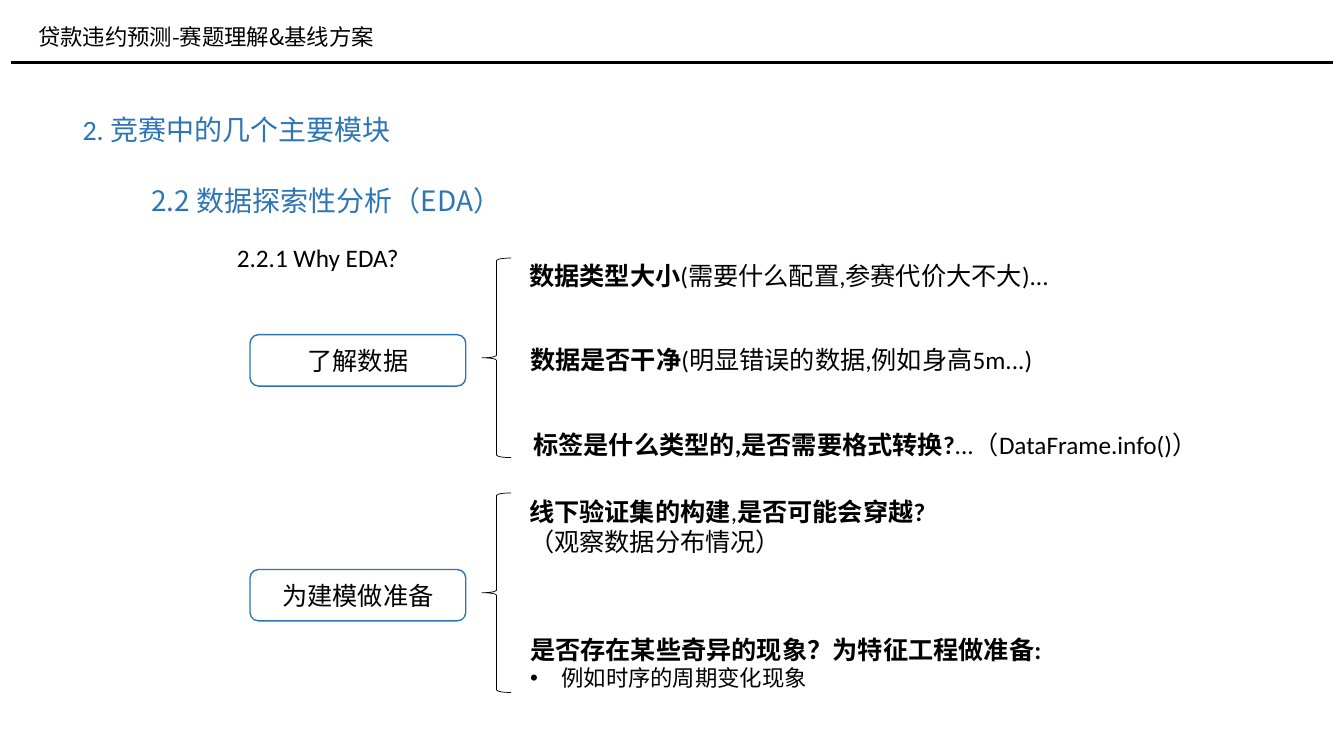
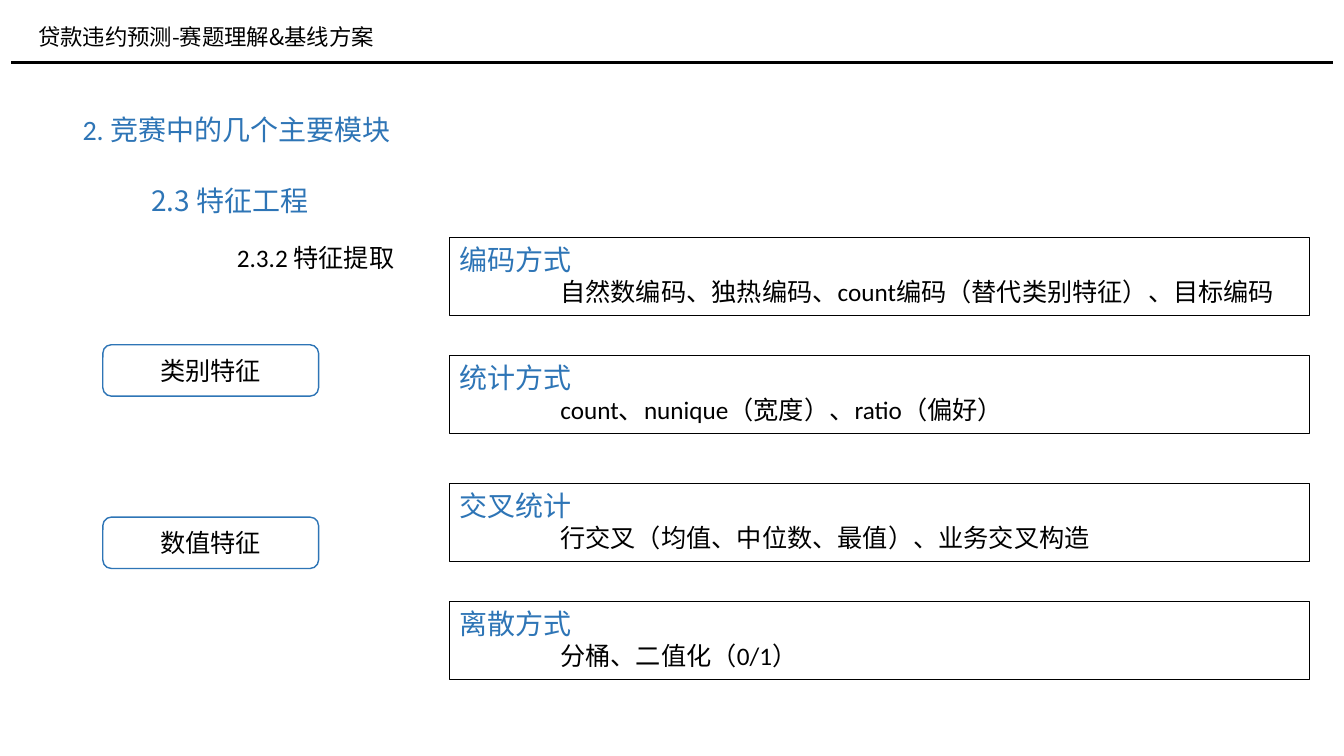
from dataclasses import dataclass

from lxml import etree
from pptx import Presentation
from pptx import util as u
from pptx.dml.color import RGBColor
from pptx.enum import shapes, text
from pptx.oxml import ns
from pptx.shapes.autoshape import Shape
from pptx.slide import Slide

COLORS = {"ink": "000000", "accent": "2E75B6"}
LATIN = "Calibri"
CJK = "Noto Sans CJK SC"
LABEL_SIZE = (2.14, 0.51)
BRACE_SIZE = (0.29, 1.98)
CARD_SIZE = (8.53, 0.77)


@dataclass(frozen=True)
class Span:
    text: str
    size: int = 18
    color: str = "ink"
    bold: bool = False
    font: str = LATIN


@dataclass(frozen=True)
class Para:
    spans: tuple[Span, ...]
    margin: float = 0
    indent: float = 0
    bullet: str = ""
    line_points: int = 0
    centered: bool = False


@dataclass(frozen=True)
class Note:
    left: float
    top: float
    width: float
    height: float
    paras: tuple[Para, ...]


@dataclass(frozen=True)
class Label:
    text: str
    left: float
    top: float


@dataclass(frozen=True)
class Card:
    title: str
    body: str
    top: float


def line(*spans: Span, **layout) -> Para:
    return Para(spans, **layout)


def rgb(name: str) -> RGBColor:
    return RGBColor.from_string(COLORS[name])


def add_span(para, words: str, *, size: int, color: str, bold: bool, font: str) -> None:
    run = para.add_run()
    run.text = words
    run.font.size = u.Pt(size)
    run.font.bold = bold
    run.font.name = font
    run.font.color.rgb = rgb(color)
    latin = run._r.get_or_add_rPr().find(ns.qn("a:latin"))
    east_asian = etree.Element(ns.qn("a:ea"), typeface=CJK)
    latin.addnext(east_asian)


def write(box: Shape, paras: tuple[Para, ...], *, middle: bool = False) -> None:
    frame = box.text_frame
    frame.word_wrap = True
    frame.vertical_anchor = text.MSO_ANCHOR.MIDDLE if middle else text.MSO_ANCHOR.TOP
    frame.auto_size = text.MSO_AUTO_SIZE.NONE if middle else text.MSO_AUTO_SIZE.SHAPE_TO_FIT_TEXT
    for index, item in enumerate(paras):
        para = frame.add_paragraph() if index else frame.paragraphs[0]
        para.alignment = text.PP_ALIGN.CENTER if item.centered else text.PP_ALIGN.LEFT
        if item.line_points:
            para.line_spacing = u.Pt(item.line_points)
        props = para._p.get_or_add_pPr()
        props.set("marL", str(u.Inches(item.margin)))
        props.set("indent", str(u.Inches(item.indent)))
        if item.bullet:
            etree.SubElement(props, ns.qn("a:buFont"), typeface="Arial")
            etree.SubElement(props, ns.qn("a:buChar"), char=item.bullet)
        for span in item.spans:
            add_span(para, span.text, size=span.size, color=span.color,
                     bold=span.bold, font=span.font)


def add_note(page: Slide, note: Note) -> None:
    box = page.shapes.add_textbox(u.Inches(note.left), u.Inches(note.top),
                                  u.Inches(note.width), u.Inches(note.height))
    write(box, note.paras)


def add_outline(page: Slide, kind: shapes.MSO_SHAPE, left: float, top: float,
                size: tuple[float, float], color: str, weight: float) -> Shape:
    box = page.shapes.add_shape(kind, u.Inches(left), u.Inches(top),
                                u.Inches(size[0]), u.Inches(size[1]))
    box.shadow.inherit = False
    box.fill.background()
    box.line.color.rgb = rgb(color)
    box.line.width = u.Pt(weight)
    return box


def add_label(page: Slide, label: Label) -> None:
    box = add_outline(page, shapes.MSO_SHAPE.ROUNDED_RECTANGLE, label.left, label.top,
                      LABEL_SIZE, "accent", 1)
    write(box, (line(Span(label.text), centered=True),), middle=True)


def add_card(page: Slide, card: Card) -> None:
    box = add_outline(page, shapes.MSO_SHAPE.RECTANGLE, 4.46, card.top, CARD_SIZE, "ink", 0.75)
    write(box, (line(Span(card.title, size=20, color="accent")),
                line(Span(card.body), margin=1)))


def add_page(deck, section: str, topic: str, topic_width: float) -> Slide:
    page = deck.slides.add_slide(deck.slide_layouts[6])
    rule = page.shapes.add_connector(shapes.MSO_CONNECTOR.STRAIGHT, u.Inches(0.11),
                                     u.Inches(0.62), u.Inches(13.22), u.Inches(0.62))
    rule.line.color.rgb = rgb("ink")
    rule.line.width = u.Pt(2.25)
    etree.SubElement(rule._element.spPr, ns.qn("a:effectLst"))
    headings = (
        Note(0.28, 0.18, 4.98, 0.37,
             (line(Span("贷款违约预测-赛题理解&基线方案", size=16, font=CJK)),)),
        Note(0.72, 1.07, 7.11, 0.44,
             (line(Span("2. 竞赛中的几个主要模块", size=20, color="accent")),)),
        Note(1.4, 1.62, 8.09, 0.59,
             (line(Span(section, size=20, color="accent", font=CJK), line_points=35),)),
        Note(2.25, 2.36, topic_width, 0.4, (line(Span(topic)),)),
    )
    for heading in headings:
        add_note(page, heading)
    return page


def build_exploration(deck) -> None:
    page = add_page(deck, "2.2 数据探索性分析（EDA）", "2.2.1 Why EDA?", 3.62)
    for label in (Label("了解数据", 2.48, 3.32), Label("为建模做准备", 2.48, 5.65)):
        add_label(page, label)
        add_outline(page, shapes.MSO_SHAPE.LEFT_BRACE, 4.78, label.top - 0.76,
                    BRACE_SIZE, "ink", 0.5)
    notes = (
        Note(5.15, 2.53, 7.08, 0.4, (
            line(Span("数据类型大小", bold=True), Span("(需要什么配置,参赛代价大不大)...")),)),
        Note(5.16, 3.37, 7.2, 0.4, (
            line(Span("数据是否干净", bold=True), Span("(明显错误的数据,例如身高5m...)")),)),
        Note(5.14, 4.21, 7.02, 0.4, (
            line(Span("标签是什么类型的,是否需要格式转换?", bold=True),
                 Span("...（DataFrame.info()）"), indent=0.05),)),
        Note(5.15, 4.87, 4.8, 0.71, (
            line(Span("线下验证集的构建", bold=True), Span(","),
                 Span("是否可能会穿越?", bold=True)),
            line(Span("（观察数据分布情况）")))),
        Note(5.16, 6.24, 6.64, 0.67, (
            line(Span("是否存在某些奇异的现象？为特征工程做准备:", bold=True)),
            line(Span("例如时序的周期变化现象", size=16),
                 margin=0.31, indent=-0.31, bullet="•"))),
    )
    for note in notes:
        add_note(page, note)


def build_features(deck) -> None:
    page = add_page(deck, "2.3 特征工程", "2.3.2 特征提取", 2.08)
    for label in (Label("类别特征", 1.02, 3.42), Label("数值特征", 1.02, 5.13)):
        add_label(page, label)
    cards = (
        Card("编码方式", "自然数编码、独热编码、count编码（替代类别特征）、目标编码", 2.36),
        Card("统计方式", "count、nunique（宽度）、ratio（偏好）", 3.53),
        Card("交叉统计", "行交叉（均值、中位数、最值）、业务交叉构造", 4.8),
        Card("离散方式", "分桶、二值化（0/1）", 5.97),
    )
    for card in cards:
        add_card(page, card)


def main() -> None:
    deck = Presentation()
    deck.slide_width = u.Inches(13.33)
    deck.slide_height = u.Inches(7.5)
    build_exploration(deck)
    build_features(deck)
    deck.save("out.pptx")


if __name__ == "__main__":
    main()
